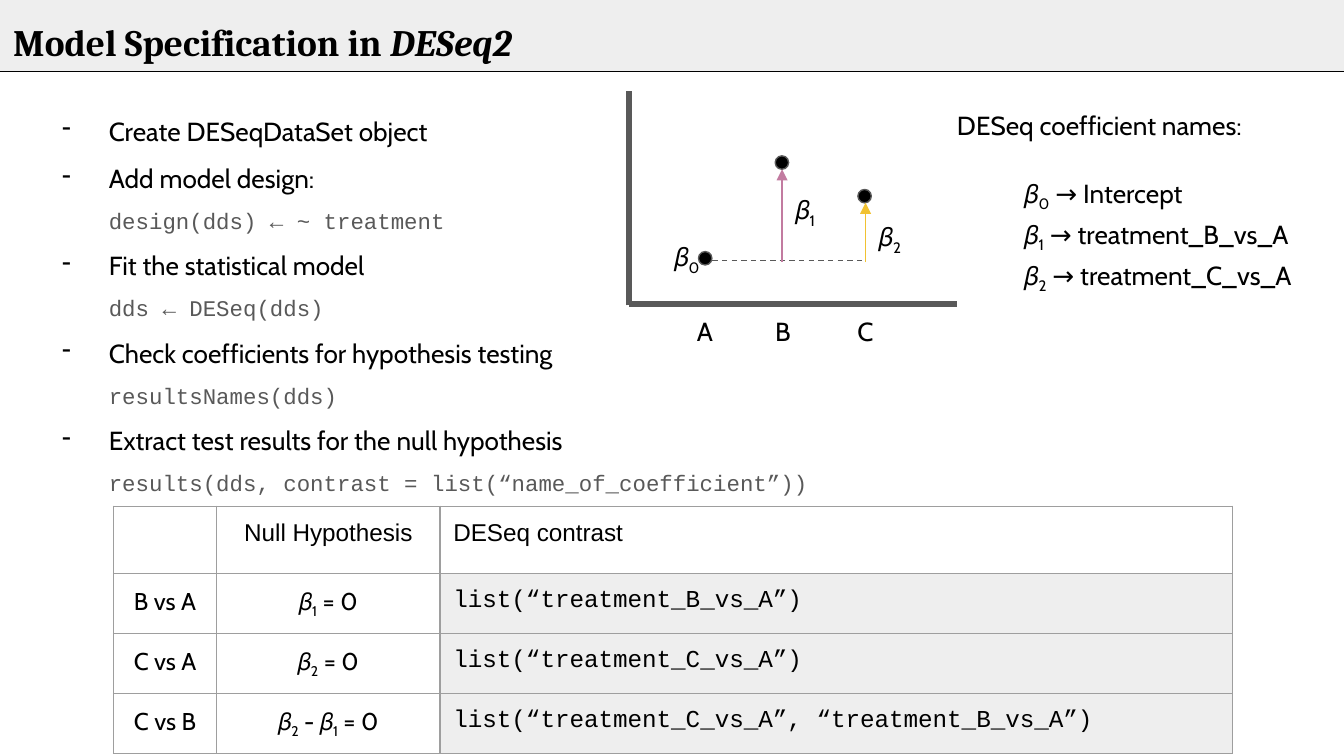
from lxml import etree
from pptx import Presentation
from pptx.dml.color import RGBColor
from pptx.enum.dml import MSO_LINE_DASH_STYLE as Dash
from pptx.enum.shapes import MSO_CONNECTOR as Conn, MSO_SHAPE as Shape
from pptx.enum.text import PP_ALIGN as Align
from pptx.oxml.ns import qn
from pptx.util import Pt

BLACK, GRAY, PALE, BORDER = "000000", "595959", "EEEEEE", "9E9E9E"
BODY, CODE = "Cabin", "Courier New"
INSET = 7.2


def rgb(color):
    return RGBColor.from_string(color)


def add_text(p, text, size=14, font=BODY, color=BLACK, bold=False, italic=False):
    """Add text to a paragraph; parts in {braces} become subscripts."""
    for i, part in enumerate(text.replace("}", "{").split("{")):
        if not part:
            continue
        r = p.add_run()
        r.text = part
        r.font.size, r.font.name = Pt(size), font
        r.font.bold, r.font.italic = bold, italic
        r.font.color.rgb = rgb(color)
        rPr = r._r.get_or_add_rPr()
        for tag in ("a:ea", "a:cs"):
            etree.SubElement(rPr, qn(tag), typeface=font)
        if i % 2:
            rPr.set("baseline", "-25000")


def set_indent(p, left, first=0, bullet=None):
    pPr = p._p.get_or_add_pPr()
    pPr.set("marL", str(Pt(left)))
    pPr.set("indent", str(Pt(first)))
    if bullet:
        clr = etree.SubElement(pPr, qn("a:buClr"))
        etree.SubElement(clr, qn("a:srgbClr"), val=BLACK)
        etree.SubElement(pPr, qn("a:buChar"), char=bullet)


def add_box(s, x, y, w, h):
    tf = s.shapes.add_textbox(Pt(x), Pt(y), Pt(w), Pt(h)).text_frame
    tf.word_wrap = True
    tf.margin_left = tf.margin_right = tf.margin_top = tf.margin_bottom = Pt(INSET)
    return tf


def add_label(s, text, x, y, w, h):
    add_text(add_box(s, x, y, w, h).paragraphs[0], text)


def next_paragraph(tf, first):
    return tf.paragraphs[0] if first else tf.add_paragraph()


def add_solid(s, kind, x, y, w, h, fill, line=None):
    sp = s.shapes.add_shape(kind, Pt(x), Pt(y), Pt(w), Pt(h))
    sp.shadow.inherit = False
    sp.fill.solid()
    sp.fill.fore_color.rgb = rgb(fill)
    if line:
        sp.line.color.rgb = rgb(line)
        sp.line.width = Pt(0.75)
    else:
        sp.line.fill.background()


def add_line(s, x1, y1, x2, y2, color, width=0.75, dash=None, arrow=False):
    c = s.shapes.add_connector(Conn.STRAIGHT, Pt(x1), Pt(y1), Pt(x2), Pt(y2))
    c.line.color.rgb = rgb(color)
    c.line.width = Pt(width)
    if dash:
        c.line.dash_style = dash
    if arrow:
        etree.SubElement(c.line._get_or_add_ln(), qn("a:tailEnd"), type="triangle")
    etree.SubElement(c._element.spPr, qn("a:effectLst"))


def add_header(s):
    add_solid(s, Shape.RECTANGLE, 0, 0, 720, 38.2, PALE)
    add_line(s, -1, 38.2, 721, 38.2, BLACK)
    p = add_box(s, 0, 2.9, 671, 45.4).paragraphs[0]
    title = dict(size=20, font="Cambria", bold=True)
    add_text(p, "Model Specification in ", **title)
    add_text(p, "DESeq2", italic=True, **title)


def add_steps(s):
    steps = [
        ("Create DESeqDataSet object", None),
        ("Add model design:", "design(dds) ← ~ treatment"),
        ("Fit the statistical model", "dds ← DESeq(dds)"),
        ("Check coefficients for hypothesis testing", "resultsNames(dds)"),
        ("Extract test results for the null hypothesis",
         "results(dds, contrast = list(“name_of_coefficient”))"),
    ]
    tf = add_box(s, 15.2, 46.1, 435.6, 221.8)
    for i, (step, code) in enumerate(steps):
        p = next_paragraph(tf, i == 0)
        p.line_spacing = 1.5
        set_indent(p, 36, -25, "-")
        add_text(p, step)
        if code:
            p.add_line_break()
            add_text(p, code, size=12, font=CODE, color=GRAY)


def add_plot(s):
    # Axes and baseline
    left, bottom, base = 337, 162.9, 139.6
    add_line(s, left, bottom, 512.6, bottom, GRAY, 3)
    add_line(s, left, bottom + 0.7, left, 49, GRAY, 3)
    add_line(s, 381.6, base, 463.7, base, GRAY, dash=Dash.DASH)
    # Group means
    dot = 7.2
    for x, y in [(374.2, 134.8), (415.3, 83.5), (459.6, 101.5)]:
        add_solid(s, Shape.OVAL, x, y, dot, dot, BLACK, GRAY)
    # Effects
    for x, top, color in [(419, 90.7, "C27BA0"), (463.7, 108.7, "F1C232")]:
        add_line(s, x, 140.4, x, top, color, arrow=True)
    # Coefficient and group labels
    for i, (x, y) in enumerate([(354.2, 121.7), (419, 96.5), (463.7, 110.9)]):
        add_label(s, f"𝛽{{{i}}}", x, y, 38.9, 33.8)
    for name, x in [("A", 366.3), ("B", 408.2), ("C", 452.2)]:
        add_label(s, name, x, 162, 23.8, 31.7)


def add_coefficients(s):
    tf = add_box(s, 505.6, 49, 216.7, 128.9)
    names = ["Intercept", "treatment_B_vs_A", "treatment_C_vs_A"]
    p = tf.paragraphs[0]
    p.line_spacing = 1.15
    add_text(p, "DESeq coefficient names:")
    for i, name in enumerate(names):
        p = tf.add_paragraph()
        p.line_spacing = 1.15
        if i == 0:
            p.space_before = Pt(16.5)
        set_indent(p, 36)
        add_text(p, f"𝛽{{{i}}} → {name}")


def style_cell(cell, fill=None):
    cell.margin_left = cell.margin_right = Pt(INSET)
    cell.margin_top = cell.margin_bottom = Pt(INSET)
    tcPr = cell._tc.get_or_add_tcPr()
    for side in ("L", "R", "T", "B"):
        ln = etree.SubElement(tcPr, qn(f"a:ln{side}"), w=str(Pt(0.75)))
        solid = etree.SubElement(ln, qn("a:solidFill"))
        etree.SubElement(solid, qn("a:srgbClr"), val=BORDER)
    if fill:
        cell.fill.solid()
        cell.fill.fore_color.rgb = rgb(fill)
    else:
        cell.fill.background()


def add_contrasts(s):
    rows = [
        ("", "Null Hypothesis", "DESeq contrast"),
        ("B vs A", "𝛽{1} = 0", "list(“treatment_B_vs_A”)"),
        ("C vs A", "𝛽{2} = 0", "list(“treatment_C_vs_A”)"),
        ("C vs B", "𝛽{2} - 𝛽{1} = 0",
         "list(“treatment_C_vs_A”, “treatment_B_vs_A”)"),
    ]
    widths, heights = [55.2, 119.7, 424.8], [36, 32.1, 32.1, 32.1]
    table = s.shapes.add_table(len(rows), len(widths), Pt(60.8), Pt(271.2),
                               Pt(sum(widths)), Pt(sum(heights))).table
    table.first_row = table.horz_banding = False
    for col, w in zip(table.columns, widths):
        col.width = Pt(w)
    for i, (row, h) in enumerate(zip(rows, heights)):
        table.rows[i].height = Pt(h)
        for j, text in enumerate(row):
            cell = table.cell(i, j)
            style_cell(cell, PALE if i and j == 2 else None)
            p = cell.text_frame.paragraphs[0]
            p.alignment = Align.LEFT if j == 2 else Align.CENTER
            font = "Arial" if i == 0 else CODE if j == 2 else BODY
            add_text(p, text, size=13, font=font)


def main():
    prs = Presentation()
    prs.slide_width, prs.slide_height = Pt(720), Pt(405)
    s = prs.slides.add_slide(prs.slide_layouts[6])
    add_header(s)
    add_steps(s)
    add_plot(s)
    add_coefficients(s)
    add_contrasts(s)
    prs.save("out.pptx")


if __name__ == "__main__":
    main()
